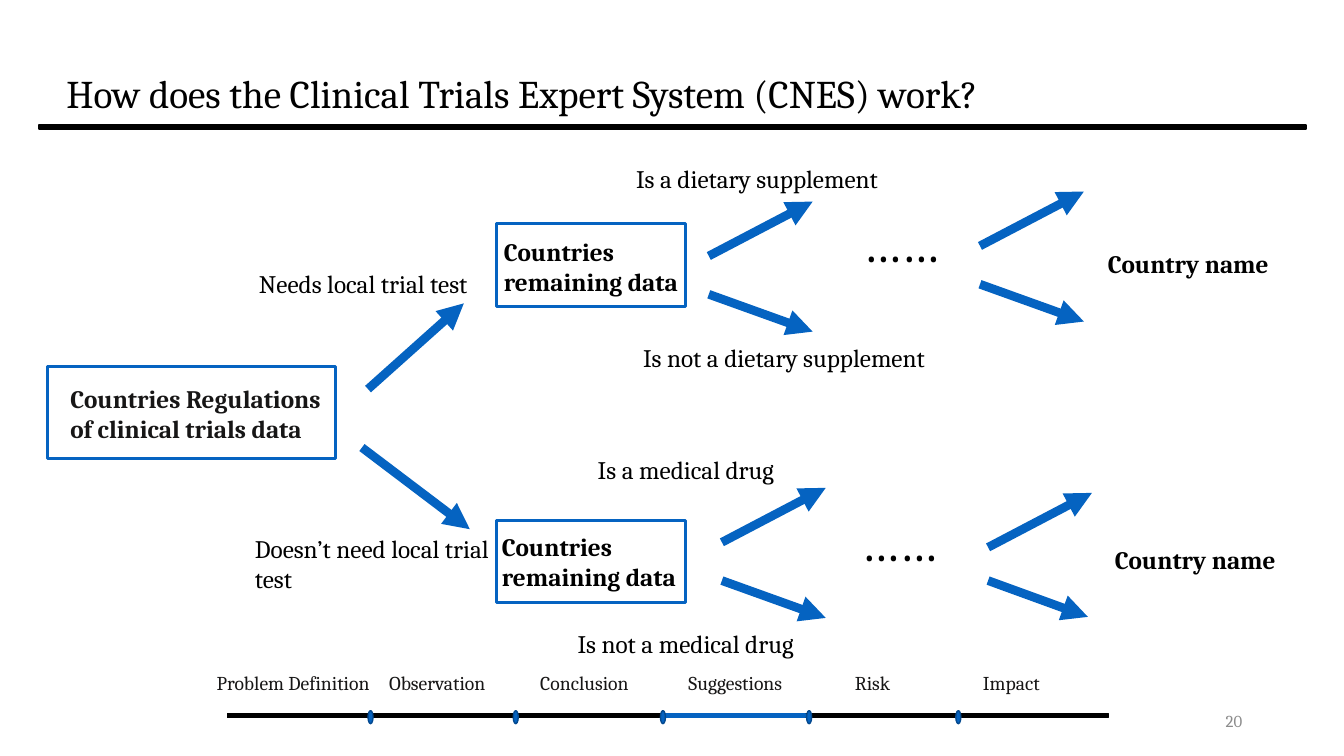
"""Build the slide that shows how the expert system narrows down countries."""
from dataclasses import dataclass

import pptx
import pptx.dml.color
import pptx.enum.shapes
import pptx.enum.text
import pptx.oxml.ns
import pptx.util
from lxml import etree

Inches = pptx.util.Inches
Pt = pptx.util.Pt
Kind = pptx.enum.shapes.MSO_SHAPE
Align = pptx.enum.text.PP_ALIGN
Anchor = pptx.enum.text.MSO_ANCHOR
Fit = pptx.enum.text.MSO_AUTO_SIZE
qn = pptx.oxml.ns.qn


@dataclass(frozen=True)
class Theme:
    font: str = "Cambria"
    black: str = "000000"
    ink: str = "171616"
    blue: str = "0563C1"
    navy: str = "04498F"
    gray: str = "8C8C8C"
    title: float = 28
    body: float = 18
    dots: float = 36
    stage: float = 14
    page: float = 12
    thin: float = 1
    frame: float = 2.25
    arrow: float = 6.25


THEME = Theme()


@dataclass(frozen=True)
class Box:
    left: float
    top: float
    width: float
    height: float


@dataclass(frozen=True)
class Label:
    text: str
    box: Box
    size: float = THEME.body
    color: str = THEME.black
    bold: bool = False
    wrap: bool = True
    grow: bool = True


@dataclass(frozen=True)
class Mark:
    kind: Kind
    box: Box
    line: str
    fill: str | None = None
    weight: float = THEME.thin


@dataclass(frozen=True)
class Arrow:
    x: float
    y: float
    to_x: float
    to_y: float


def bar(left: float, top: float, width: float, color: str) -> Mark:
    """Describe a horizontal bar."""
    return Mark(Kind.MATH_MINUS, Box(left, top, width, 0.18), color, color)


def fork(x: float, y: float) -> list[Arrow]:
    """Describe a rising and a falling arrow that start at one side."""
    end = x + 1.03
    return [Arrow(x, y, end, y - 0.54), Arrow(x, y + 0.38, end, y + 0.75)]


BARS = [
    bar(-1.88, 1.17, 17.1, THEME.black),
    bar(0.68, 7.01, 11.89, THEME.black),
    bar(6.31, 7.01, 1.93, THEME.blue),
]
DOTS = [
    Mark(Kind.OVAL, Box(x, 7.05, 0.05, 0.13), THEME.navy, THEME.blue)
    for x in (3.65, 5.09, 6.55, 8, 9.48)
]
FRAMES = [
    Mark(Kind.RECTANGLE, box, THEME.blue, weight=THEME.frame)
    for box in (
        Box(0.47, 3.64, 2.86, 0.91),
        Box(4.92, 2.22, 1.88, 0.82),
        Box(4.92, 5.16, 1.88, 0.82),
    )
]
ARROWS = [
    Arrow(3.65, 3.86, 4.6, 3.01),
    Arrow(3.59, 4.44, 4.66, 5.25),
    *fork(7.03, 2.54),
    *fork(7.16, 5.38),
    *fork(9.72, 2.44),
    Arrow(9.8, 5.43, 10.83, 4.89),
    Arrow(9.8, 5.76, 10.79, 6.12),
]
STAGES = [
    Label(text, Box(x, 6.61, width, 0.34), THEME.stage, THEME.ink, wrap=False)
    for text, x, width in (
        ("Problem Definition", 2.05, 1.8),
        ("Observation", 3.76, 1.22),
        ("Conclusion", 5.26, 1.13),
        ("Suggestions", 6.73, 1.2),
        ("Risk", 8.38, 0.57),
        ("Impact", 9.65, 0.79),
    )
]
TESTS = [
    Label("Needs local trial test", Box(2.47, 2.61, 2.62, 0.4)),
    Label("Doesn’t need local trial test", Box(2.43, 5.24, 2.62, 0.71)),
    Label("Is a dietary supplement", Box(6.21, 1.57, 2.95, 0.4)),
    Label("Is not a dietary supplement", Box(6.28, 3.35, 3.4, 0.4)),
    Label("Is a medical drug", Box(5.83, 4.46, 2.19, 0.4)),
    Label("Is not a medical drug", Box(5.63, 6.18, 2.7, 0.4)),
    Label("……", Box(8.46, 2.05, 1.4, 0.75), THEME.dots),
    Label("……", Box(8.44, 5.02, 1.4, 0.75), THEME.dots),
]
NODES = [
    Label(text, box, color=color, bold=True)
    for text, box, color in (
        ("Countries Regulations of clinical trials data",
         Box(0.6, 3.75, 2.9, 0.71), THEME.ink),
        ("Countries remaining data", Box(4.9, 2.29, 2.07, 0.71), THEME.black),
        ("Countries remaining data", Box(4.88, 5.22, 2.07, 0.71), THEME.black),
        ("Country name", Box(10.89, 2.41, 2.07, 0.4), THEME.black),
        ("Country name", Box(10.96, 5.35, 2.07, 0.4), THEME.black),
    )
]
TITLE = Label("How does the Clinical Trials Expert System (CNES) work?",
              Box(0.56, 0.43, 11.5, 1.45), THEME.title, grow=False)
PAGE = Label("20", Box(9.42, 6.95, 3, 0.4), THEME.page, THEME.gray, grow=False)


def tint(code: str) -> pptx.dml.color.RGBColor:
    """Turn a hex code into a colour."""
    return pptx.dml.color.RGBColor.from_string(code)


def place(box: Box) -> list[int]:
    """Give the sides of a box as lengths."""
    return [Inches(side) for side in (box.left, box.top, box.width, box.height)]


def write(slide: pptx.slide.Slide, label: Label) -> pptx.text.text.TextFrame:
    """Add a text box and return its frame."""
    frame = slide.shapes.add_textbox(*place(label.box)).text_frame
    frame.word_wrap = label.wrap
    frame.auto_size = Fit.SHAPE_TO_FIT_TEXT if label.grow else Fit.NONE
    para = frame.paragraphs[0]
    para.text = label.text
    font = para.font
    font.name, font.size, font.bold = THEME.font, Pt(label.size), label.bold
    font.color.rgb = tint(label.color)
    return frame


def draw(slide: pptx.slide.Slide, mark: Mark) -> None:
    """Add a bar, dot or frame."""
    shape = slide.shapes.add_shape(mark.kind, *place(mark.box))
    shape.shadow.inherit = False
    if mark.fill:
        shape.fill.solid()
        shape.fill.fore_color.rgb = tint(mark.fill)
    else:
        shape.fill.background()
    shape.line.color.rgb = tint(mark.line)
    shape.line.width = Pt(mark.weight)


def point(slide: pptx.slide.Slide, arrow: Arrow) -> None:
    """Add a straight arrow."""
    ends = [Inches(n) for n in (arrow.x, arrow.y, arrow.to_x, arrow.to_y)]
    link = slide.shapes.add_connector(
        pptx.enum.shapes.MSO_CONNECTOR.STRAIGHT, *ends)
    link.line.color.rgb = tint(THEME.blue)
    link.line.width = Pt(THEME.arrow)
    etree.SubElement(link.line._get_or_add_ln(), qn("a:tailEnd"), type="triangle")
    etree.SubElement(link._element.spPr, qn("a:effectLst"))


def main() -> None:
    """Build and save the slide."""
    deck = pptx.Presentation()
    deck.slide_width, deck.slide_height = Inches(13.33), Inches(7.5)
    slide = deck.slides.add_slide(deck.slide_layouts[6])
    for mark in BARS + DOTS + FRAMES:
        draw(slide, mark)
    for arrow in ARROWS:
        point(slide, arrow)
    for label in STAGES + TESTS + NODES:
        write(slide, label)
    head = write(slide, TITLE)
    head.vertical_anchor = Anchor.MIDDLE
    head.margin_bottom = Inches(0.46)
    head.paragraphs[0].line_spacing = 0.9
    foot = write(slide, PAGE)
    foot.vertical_anchor = Anchor.MIDDLE
    foot.paragraphs[0].alignment = Align.RIGHT
    deck.save("out.pptx")


if __name__ == "__main__":
    main()
